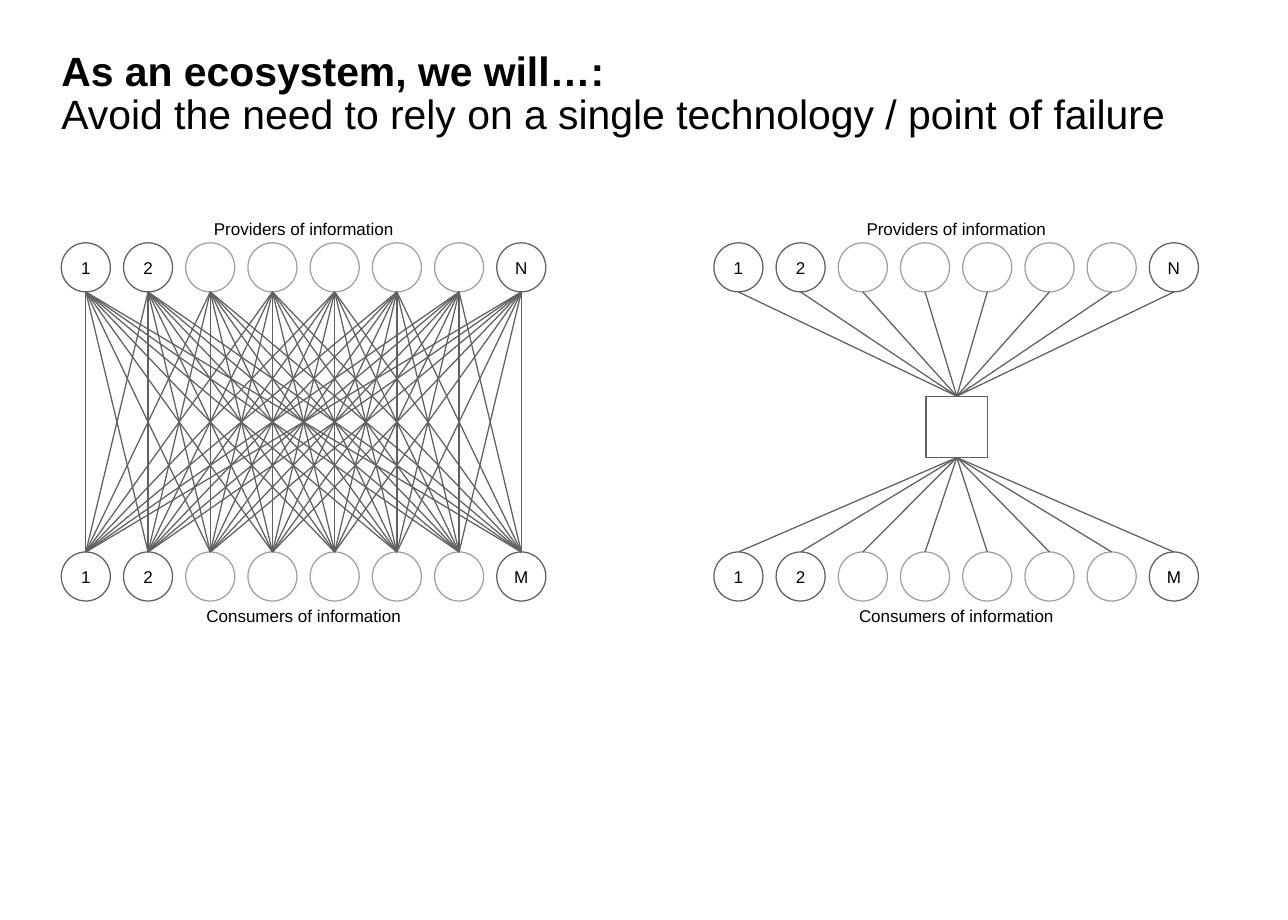
"""Build a slide contrasting a fully meshed ecosystem with a single central hub."""
import itertools

import lxml.etree
import pptx
import pptx.dml.color
import pptx.enum.shapes
import pptx.enum.text
import pptx.oxml.ns
import pptx.util
from pptx.util import Inches

TITLE = ("As an ecosystem, we will…:",
         "Avoid the need to rely on a single technology / point of failure")
PANEL_LEFTS = {"mesh": 0.5, "hub": 5.82}
ROWS = [
    {"label": "Providers of information", "label_top": 1.78, "top": 1.98, "last": "N"},
    {"label": "Consumers of information", "label_top": 4.94, "top": 4.5, "last": "M"},
]
COLUMNS = 8
CIRCLE = 0.4
PITCH = 3.55 / (COLUMNS - 1)
PANEL_WIDTH = PITCH * (COLUMNS - 1) + CIRCLE
LABEL_WIDTH, LABEL_HEIGHT = 1.6, 0.17
HUB_LEFT, HUB_TOP, HUB_SIZE = 7.55, 3.23, 0.5
PROVIDER_EDGE = ROWS[0]["top"] + CIRCLE
CONSUMER_EDGE = ROWS[1]["top"]

BLACK = pptx.dml.color.RGBColor(0x00, 0x00, 0x00)
WHITE = pptx.dml.color.RGBColor(0xFF, 0xFF, 0xFF)
DARK = pptx.dml.color.RGBColor(0x60, 0x60, 0x60)
LIGHT = pptx.dml.color.RGBColor(0xA0, 0xA0, 0xA0)
SHAPE = pptx.enum.shapes.MSO_SHAPE
ALIGN = pptx.enum.text.PP_ALIGN
ANCHOR = pptx.enum.text.MSO_ANCHOR


def set_font(paragraph, size, alignment):
    paragraph.alignment = alignment
    paragraph.font.name = "Arial"
    paragraph.font.size = pptx.util.Pt(size)
    paragraph.font.color.rgb = BLACK


def set_margins(frame, margin):
    frame.margin_left = frame.margin_right = Inches(margin)
    frame.margin_top = frame.margin_bottom = Inches(margin)


def add_outline(slide, kind, left, top, size, color, text=""):
    shape = slide.shapes.add_shape(
        kind, Inches(left), Inches(top), Inches(size), Inches(size))
    shape.shadow.inherit = False
    shape.fill.solid()
    shape.fill.fore_color.rgb = WHITE
    shape.line.color.rgb = color
    shape.line.width = pptx.util.Pt(0.75)
    if text:
        frame = shape.text_frame
        set_margins(frame, 0.08)
        frame.vertical_anchor = ANCHOR.MIDDLE
        frame.text = text
        set_font(frame.paragraphs[0], 10, ALIGN.CENTER)
    return shape


def add_line(slide, start, end):
    connector = slide.shapes.add_connector(
        pptx.enum.shapes.MSO_CONNECTOR.STRAIGHT,
        *(Inches(value) for value in (*start, *end)))
    connector.line.color.rgb = DARK
    connector.line.width = pptx.util.Pt(0.75)
    properties = connector._element.spPr
    lxml.etree.SubElement(properties, pptx.oxml.ns.qn("a:effectLst"))
    return connector


def add_row(slide, panel_left, row):
    names = ["1", "2"] + [""] * (COLUMNS - 3) + [row["last"]]
    for column, name in enumerate(names):
        add_outline(slide, SHAPE.OVAL, panel_left + column * PITCH, row["top"],
                    CIRCLE, DARK if name else LIGHT, name)
    label = slide.shapes.add_textbox(
        Inches(panel_left + (PANEL_WIDTH - LABEL_WIDTH) / 2),
        Inches(row["label_top"]), Inches(LABEL_WIDTH), Inches(LABEL_HEIGHT))
    frame = label.text_frame
    set_margins(frame, 0)
    frame.word_wrap = False
    frame.text = row["label"]
    set_font(frame.paragraphs[0], 10, ALIGN.CENTER)


def add_title(slide):
    title = slide.shapes.title
    title.left, title.top = Inches(0.5), Inches(0.42)
    title.width, title.height = Inches(9.5), Inches(0.83)
    frame = title.text_frame
    set_margins(frame, 0)
    frame.word_wrap = True
    frame.auto_size = pptx.enum.text.MSO_AUTO_SIZE.NONE
    frame.vertical_anchor = ANCHOR.TOP
    paragraph = frame.paragraphs[0]
    set_font(paragraph, 24, ALIGN.LEFT)
    paragraph.line_spacing = 0.88
    heading = paragraph.add_run()
    heading.text = TITLE[0]
    heading.font.bold = True
    paragraph.add_line_break()
    statement = paragraph.add_run()
    statement.text = TITLE[1]
    statement.font.bold = False


def circle_centers(panel_left):
    return [panel_left + CIRCLE / 2 + column * PITCH for column in range(COLUMNS)]


def main():
    presentation = pptx.Presentation()
    presentation.slide_width = Inches(10.5)
    presentation.slide_height = Inches(7.5)
    slide = presentation.slides.add_slide(presentation.slide_layouts[5])
    add_title(slide)

    for panel_left, row in itertools.product(PANEL_LEFTS.values(), ROWS):
        add_row(slide, panel_left, row)

    mesh_centers = circle_centers(PANEL_LEFTS["mesh"])
    for provider, consumer in itertools.product(mesh_centers, repeat=2):
        add_line(slide, (provider, PROVIDER_EDGE), (consumer, CONSUMER_EDGE))

    hub = add_outline(slide, SHAPE.RECTANGLE, HUB_LEFT, HUB_TOP, HUB_SIZE, DARK)
    hub_center = HUB_LEFT + HUB_SIZE / 2
    hub_sides = [(PROVIDER_EDGE, HUB_TOP, 0), (CONSUMER_EDGE, HUB_TOP + HUB_SIZE, 2)]
    for edge, hub_edge, site in hub_sides:
        for center in circle_centers(PANEL_LEFTS["hub"]):
            connector = add_line(slide, (center, edge), (hub_center, hub_edge))
            connector.end_connect(hub, site)

    presentation.save("out.pptx")


if __name__ == "__main__":
    main()
